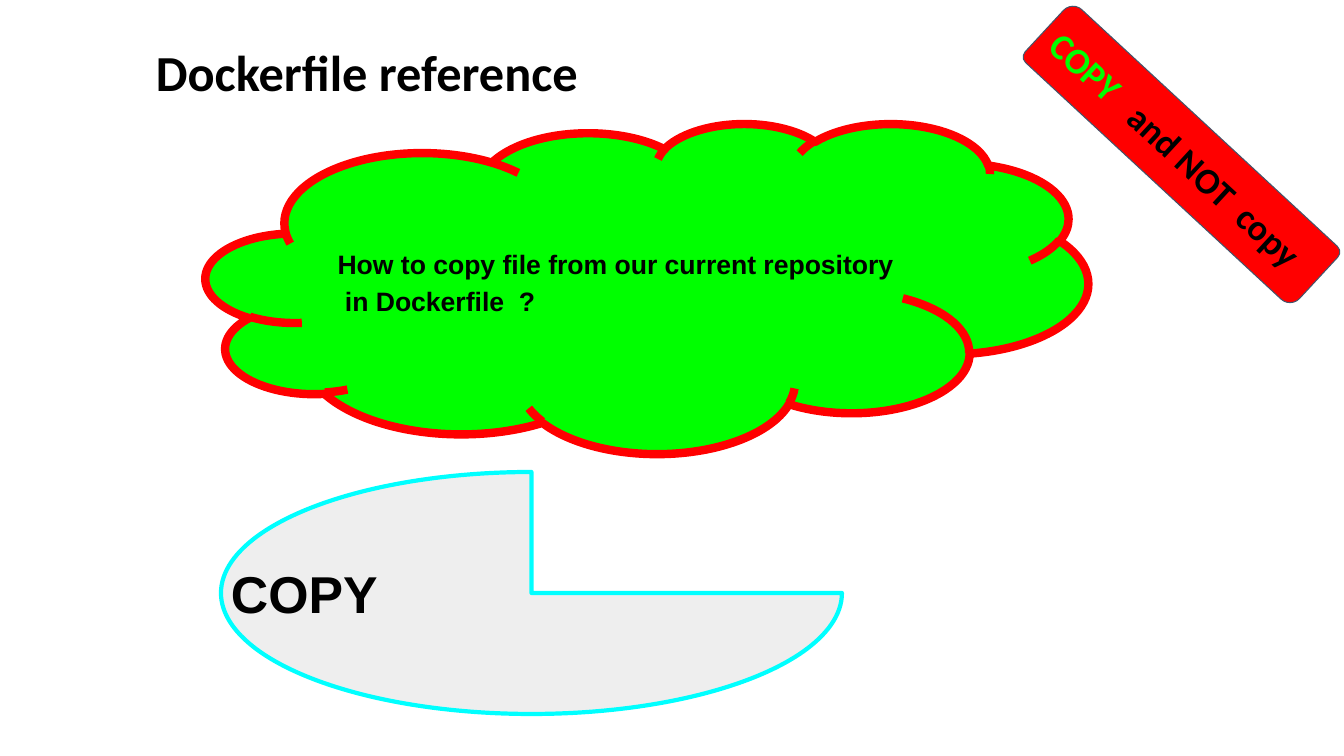
from pptx import Presentation
from pptx.dml.color import RGBColor
from pptx.enum.shapes import MSO_SHAPE as Shape
from pptx.enum.text import MSO_ANCHOR as Anchor, MSO_AUTO_SIZE as AutoSize, PP_ALIGN as Align
from pptx.util import Pt

PX = 914400 / 100.8
COLORS = {
    "black": "000000",
    "green": "00FF00",
    "red": "FF0000",
    "cyan": "00FFFF",
    "grey": "EEEEEE",
    "slate": "44546A",
}


def px(value):
    return round(value * PX)


def write(para, text, size, font, color):
    span = para.add_run()
    span.text = text
    span.font.name = font
    span.font.size = Pt(size)
    span.font.bold = True
    span.font.color.rgb = RGBColor.from_string(COLORS[color])


deck = Presentation()
deck.slide_width, deck.slide_height = px(1344), px(756)
page = deck.slides.add_slide(deck.slide_layouts[6])

title = page.shapes.add_textbox(px(146), px(36), px(975), px(72))
title.text_frame.word_wrap = True
title.text_frame.auto_size = AutoSize.SHAPE_TO_FIT_TEXT
write(title.text_frame.paragraphs[0], "Dockerfile reference", 36, "Calibri", "black")

figures = [
    (Shape.CLOUD, (206, 123, 882, 330), "green", "red", 6, 10),
    (Shape.PIE, (221, 472, 621, 242), "grey", "cyan", 3, 10),
    (Shape.ROUND_2_DIAG_RECTANGLE, (997, 116, 369, 77), "red", "slate", 0.75, 0),
]
boxes = []
for kind, place, fill, line, weight, right in figures:
    box = page.shapes.add_shape(kind, *map(px, place))
    box.shadow.inherit = False
    box.fill.solid()
    box.fill.fore_color.rgb = RGBColor.from_string(COLORS[fill])
    box.line.color.rgb = RGBColor.from_string(COLORS[line])
    box.line.width = Pt(weight)
    frame = box.text_frame
    frame.word_wrap = True
    frame.vertical_anchor = Anchor.MIDDLE
    frame.margin_left = frame.margin_top = frame.margin_bottom = px(10)
    frame.margin_right = px(right)
    frame.paragraphs[0].alignment = Align.LEFT
    boxes.append(box)
cloud, pie, banner = boxes

question = cloud.text_frame.paragraphs[0]
question.line_spacing = 1.15
write(question, "How to copy file from our current repository", 19, "Arial", "black")
question.add_line_break()
write(question, " in Dockerfile  ?", 19, "Arial", "black")

write(pie.text_frame.paragraphs[0], "COPY", 37, "Arial", "black")

banner.rotation = 42.8
banner.adjustments[0] = 0.17
banner.adjustments[1] = 0.1
for text, color in (("COPY ", "green"), ("  and NOT  copy", "black")):
    write(banner.text_frame.paragraphs[0], text, 26, "Calibri", color)

deck.save("out.pptx")
